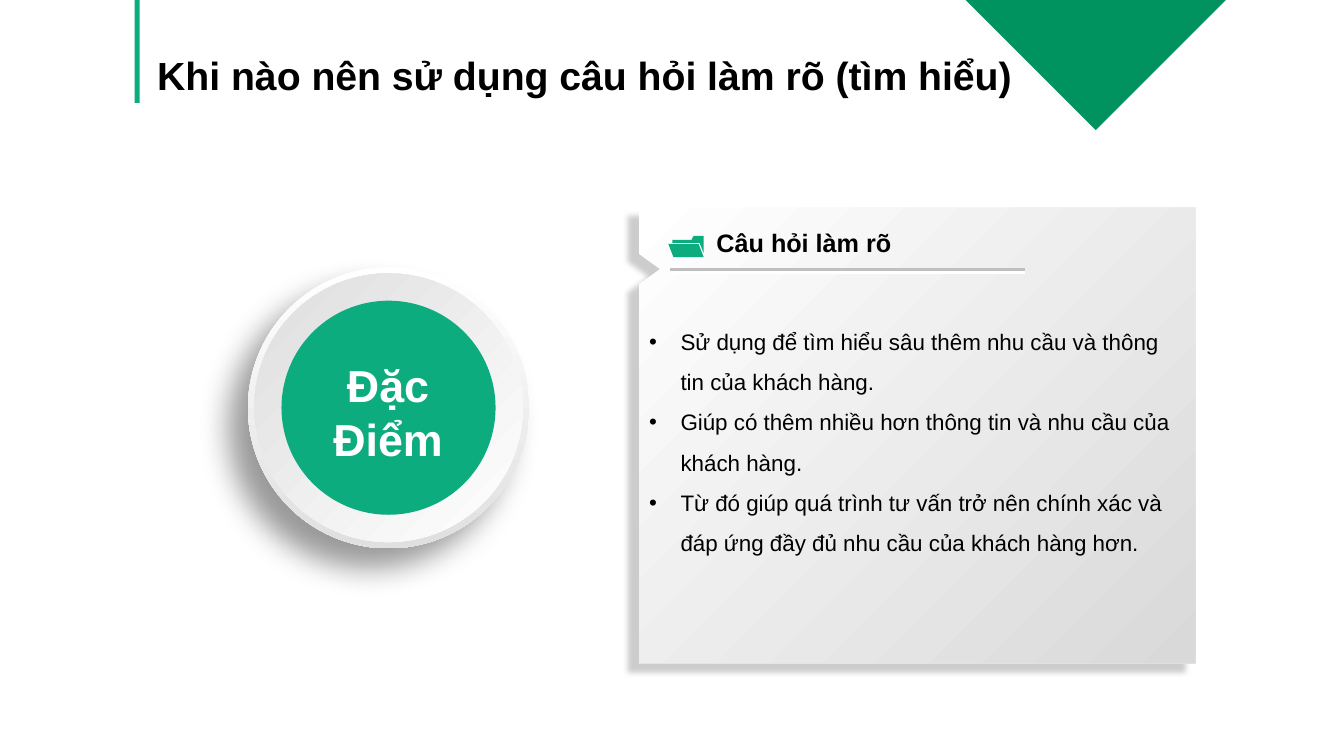
import pptx
import pptx.dml.color
import pptx.enum.shapes
import pptx.enum.text
import pptx.oxml
import pptx.oxml.ns
import pptx.util

Pt = pptx.util.Pt
SHAPE = pptx.enum.shapes.MSO_SHAPE
ALIGN = pptx.enum.text.PP_ALIGN
ANCHOR = pptx.enum.text.MSO_ANCHOR
GREEN, DARK_GREEN = "0CAC7E", "00925F"
BLACK, WHITE = "000000", "FFFFFF"
NAMESPACE = pptx.oxml.ns.nsdecls("a")


def color(code):
    return pptx.dml.color.RGBColor.from_string(code)


def paint(shape, fill, angle=0):
    """Fill with one colour, or with a (start, end) gradient at a clockwise angle."""
    shape.shadow.inherit = False
    shape.line.fill.background()
    if isinstance(fill, str):
        shape.fill.solid()
        shape.fill.fore_color.rgb = color(fill)
    else:
        shape.fill.gradient()
        shape.fill.gradient_angle = 360 - angle
        for stop, code in zip(shape.fill.gradient_stops, fill):
            stop.color.rgb = color(code)
    return shape


def cast_shadow(shape, opacity, blur, distance, angle):
    effects = shape._element.spPr.find(pptx.oxml.ns.qn("a:effectLst"))
    effects.append(pptx.oxml.parse_xml(
        f'<a:outerShdw {NAMESPACE} blurRad="{Pt(blur)}" dist="{Pt(distance)}" '
        f'dir="{angle * 60000}" algn="ctr" rotWithShape="0"><a:srgbClr val="{BLACK}">'
        f'<a:alpha val="{opacity * 1000}"/></a:srgbClr></a:outerShdw>'))


def add_preset(shapes, kind, box, fill, angle=0):
    return paint(shapes.add_shape(kind, *map(Pt, box)), fill, angle)


def add_outline(shapes, contours, fill, angle=0):
    builder = None
    for contour in contours:
        (left, top), *others = [(Pt(x), Pt(y)) for x, y in contour]
        if builder is None:
            builder = shapes.build_freeform(left, top)
        else:
            builder.move_to(left, top)
        builder.add_line_segments(others, close=True)
    return paint(builder.convert_to_shape(), fill, angle)


def add_rule(shapes, left, right, top, code):
    rule = shapes.add_connector(pptx.enum.shapes.MSO_CONNECTOR.STRAIGHT,
                                Pt(left), Pt(top), Pt(right), Pt(top))
    rule.line.color.rgb = color(code)
    rule.line.width = Pt(2.25)
    rule._element.spPr.append(pptx.oxml.parse_xml(f"<a:effectLst {NAMESPACE}/>"))


def write(shape, *texts, size, code=BLACK, bold=False, align=ALIGN.LEFT, spacing=1.0,
          anchor=ANCHOR.TOP, wrap=True, insets=(7.2, 3.6), hanging=0):
    frame = shape.text_frame
    frame.word_wrap = wrap
    frame.vertical_anchor = anchor
    frame.margin_left = frame.margin_right = Pt(insets[0])
    frame.margin_top = frame.margin_bottom = Pt(insets[1])
    for number, text in enumerate(texts):
        para = frame.add_paragraph() if number else frame.paragraphs[0]
        para.alignment = align
        para.line_spacing = spacing
        if hanging:
            settings = para._p.get_or_add_pPr()
            settings.set("marL", str(Pt(hanging)))
            settings.set("indent", str(-Pt(hanging)))
            for tag in (f'<a:buFont {NAMESPACE} typeface="Arial"/>',
                        f'<a:buChar {NAMESPACE} char="•"/>'):
                settings.append(pptx.oxml.parse_xml(tag))
        span = para.add_run()
        span.text = text
        span.font.name = "Arial"
        span.font.size = Pt(size)
        span.font.bold = bold
        span.font.color.rgb = color(code)


def add_text(shapes, box, *texts, **formatting):
    write(shapes.add_textbox(*map(Pt, box)), *texts, **formatting)


def draw_header(page, left, top, width, height):
    corner = add_preset(page.shapes, SHAPE.RIGHT_TRIANGLE,
                        (left + 620.3, top - 67, 132.5, 132.5), DARK_GREEN)
    corner.rotation = 315
    add_preset(page.shapes, SHAPE.RECTANGLE, (left, top, 3.6, height), GREEN)
    add_text(page.shapes, (left + 16.2, top + 30.2, width - 16.2, 37.4),
             "Khi nào nên sử dụng câu hỏi làm rõ (tìm hiểu)",
             size=28, bold=True, spacing=1.2, insets=(0, 0))


def draw_folder(shapes, left, top):
    front = [(0, 5.8), (21.6, 5.8), (25.2, 15.1), (3.6, 15.1)]
    back = [(18, 0), (25.2, 0), (25.2, 12.2), (22.3, 5), (2.9, 5), (2.9, 2.9), (16.5, 2.9)]
    add_outline(shapes, [[(left + x, top + y) for x, y in contour]
                         for contour in (front, back)], GREEN)


def draw_panel(page, left, top, width, height):
    right, bottom = left + width, top + height
    notch_top, notch_depth, notch_half = top + 33.1, 15.1, 10.8
    panel = add_outline(page.shapes, [[
        (left, top), (right, top), (right, bottom), (left, bottom),
        (left, notch_top + 2 * notch_half), (left + notch_depth, notch_top + notch_half),
        (left, notch_top)]], (WHITE, "D9D9D9"), 45)
    cast_shadow(panel, 20, 4, 10, 140)
    write(panel,
          "Sử dụng để tìm hiểu sâu thêm nhu cầu và thông tin của khách hàng.",
          "Giúp có thêm nhiều hơn thông tin và nhu cầu của khách hàng.",
          "Từ đó giúp quá trình tư vấn trở nên chính xác và đáp ứng đầy đủ nhu cầu "
          "của khách hàng hơn.",
          size=16, spacing=1.5, anchor=ANCHOR.MIDDLE, hanging=22.5)
    heading = page.shapes.add_group_shape().shapes
    draw_folder(heading, left + 20.9, top + 20.2)
    add_text(heading, (left + 48.2, top + 10.8, 141, 29), "Câu hỏi làm rõ",
             size=18, bold=True, wrap=False)
    for offset, code in ((44.6, "BFBFBF"), (46.1, WHITE)):
        add_rule(heading, left + 22.3, left + 275.8, top + offset, code)


def draw_badge(page, left, top, size):
    discs = page.shapes.add_group_shape().shapes
    rings = ((0, (WHITE, "E0E0E0"), 90), (4.5, (WHITE, "DDDEDD"), 225), (24, GREEN, 0))
    for inset, fill, angle in rings:
        side = size - 2 * inset
        disc = add_preset(discs, SHAPE.OVAL, (left + inset, top + inset, side, side),
                          fill, angle)
        if not inset:
            cast_shadow(disc, 40, 22, 20, 135)
    add_text(page.shapes, (left + 32.4, top + 61.9, size - 65.5, 82.8), "Đặc Điểm",
             size=32, code=WHITE, bold=True, align=ALIGN.CENTER, insets=(5, 2.9))


def main():
    deck = pptx.Presentation()
    deck.slide_width, deck.slide_height = Pt(960), Pt(540)
    page = deck.slides.add_slide(deck.slide_layouts[6])
    draw_header(page, 96.1, 0, 839.9, 73.6)
    draw_panel(page, 456.5, 148.3, 397.4, 325.4)
    draw_badge(page, 177.1, 190.8, 200.9)
    deck.save("out.pptx")


if __name__ == "__main__":
    main()
